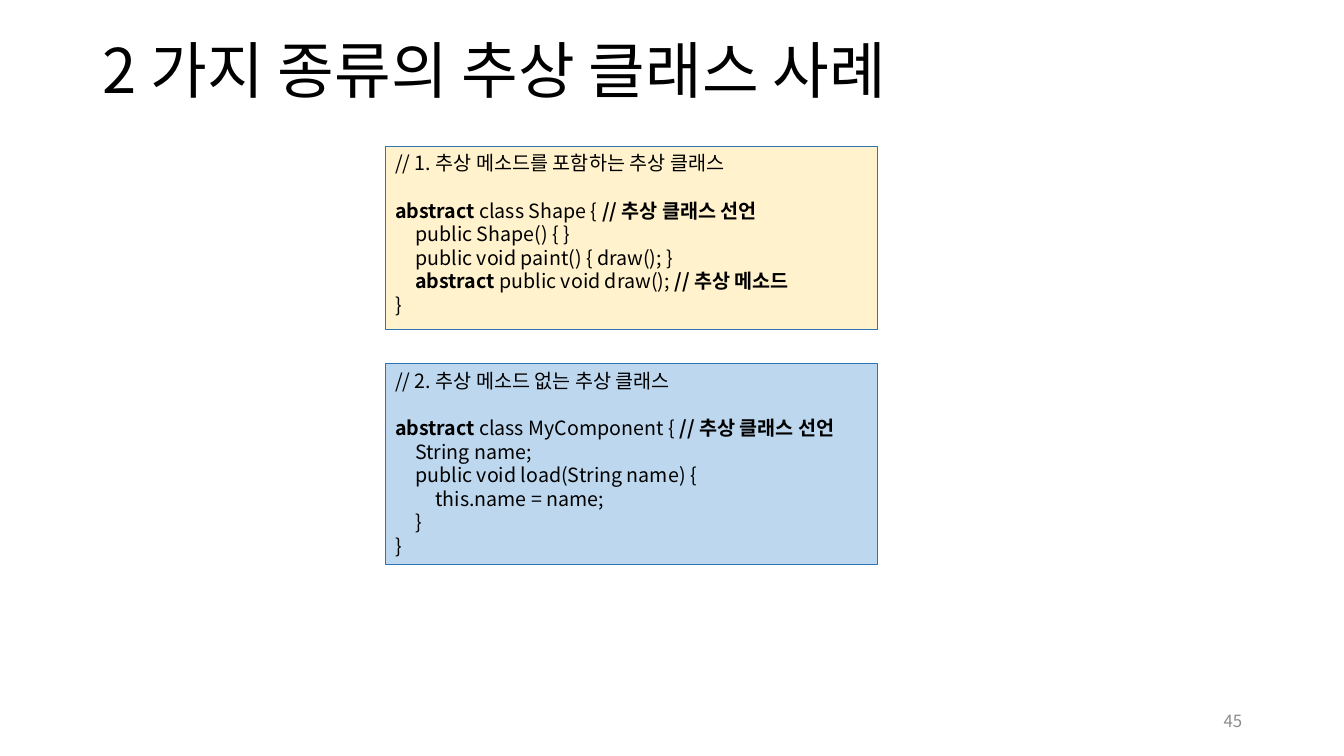
from dataclasses import dataclass

from lxml.etree import SubElement
from pptx import Presentation
from pptx.dml.color import RGBColor
from pptx.enum.shapes import MSO_SHAPE
from pptx.enum.text import MSO_ANCHOR, PP_ALIGN
from pptx.oxml.ns import qn
from pptx.util import Inches, Pt


@dataclass(frozen=True)
class Theme:
    font: str = "Noto Sans CJK KR"
    text: str = "000000"
    muted: str = "8C8C8C"
    border: str = "2E75B6"
    cream: str = "FFF2CC"
    sky: str = "BDD7EE"
    title_size: int = 44
    code_size: int = 14
    number_size: int = 12
    code_gap: int = 17
    tab: float = 0.2


THEME = Theme()

SHAPE_CODE = """// 1. 추상 메소드를 포함하는 추상 클래스

*abstract *class Shape { *// 추상 클래스 선언*
\tpublic Shape() { }
\tpublic void paint() { draw(); }
\t*abstract* public void draw(); *// 추상 메소드*
}"""

COMPONENT_CODE = """// 2. 추상 메소드 없는 추상 클래스

*abstract* class MyComponent { *// 추상 클래스 선언*
\tString name;
\tpublic void load(String name) {
\t\tthis.name = name;
\t}
}"""


def apply(obj, formats):
    """Set each attribute named in formats on obj."""
    for name, value in formats.items():
        setattr(obj, name, value)


def add_run(p, text, size, color, bold=False):
    """Append a styled run, with the font set for Latin and Korean text."""
    r = p.add_run()
    r.text = text
    apply(r.font, {"name": THEME.font, "size": Pt(size), "bold": bold})
    r.font.color.rgb = RGBColor.from_string(color)
    SubElement(r.font._element, qn("a:ea"), typeface=THEME.font)


def add_tabs(p, count=2):
    """Give a paragraph evenly spaced left tab stops."""
    tabs = SubElement(p._p.get_or_add_pPr(), qn("a:tabLst"))
    for i in range(1, count + 1):
        SubElement(tabs, qn("a:tab"), pos=str(Inches(THEME.tab * i)), algn="l")


def add_label(slide, box, text, size, color, **formats):
    """Add a one-line text box centred vertically."""
    tf = slide.shapes.add_textbox(*map(Inches, box)).text_frame
    apply(tf, {"word_wrap": True, "vertical_anchor": MSO_ANCHOR.MIDDLE})
    p = tf.paragraphs[0]
    apply(p, formats)
    add_run(p, text, size, color)


def add_code(slide, box, fill, code):
    """Add a filled code panel; asterisks enclose bold parts."""
    s = slide.shapes.add_shape(MSO_SHAPE.RECTANGLE, *map(Inches, box))
    s.shadow.inherit = False
    s.fill.solid()
    s.fill.fore_color.rgb = RGBColor.from_string(fill)
    s.line.color.rgb = RGBColor.from_string(THEME.border)
    s.line.width = Pt(0.75)
    tf = s.text_frame
    apply(tf, {"word_wrap": True, "vertical_anchor": MSO_ANCHOR.TOP})
    p = tf.paragraphs[0]
    for i, block in enumerate(code.split("\n\n")):
        for j, line in enumerate(block.split("\n")):
            if i or j:
                p = tf.add_paragraph()
            add_tabs(p)
            p.alignment = PP_ALIGN.LEFT
            if i and not j:
                p.space_before = Pt(THEME.code_gap)
            for k, part in enumerate(line.split("*")):
                if part:
                    add_run(p, part, THEME.code_size, THEME.text, k % 2 == 1)


def main():
    """Build and save the slide."""
    prs = Presentation()
    apply(prs, {"slide_width": Inches(13.33), "slide_height": Inches(7.5)})
    slide = prs.slides.add_slide(prs.slide_layouts[6])
    add_label(slide, (0.92, 0, 11.5, 1.45), "2 가지 종류의 추상 클래스 사례",
              THEME.title_size, THEME.text, line_spacing=0.9)
    add_code(slide, (3.82, 1.45, 4.88, 1.82), THEME.cream, SHAPE_CODE)
    add_code(slide, (3.82, 3.61, 4.88, 1.99), THEME.sky, COMPONENT_CODE)
    add_label(slide, (9.42, 6.95, 3, 0.4), "45",
              THEME.number_size, THEME.muted, alignment=PP_ALIGN.RIGHT)
    prs.save("out.pptx")


if __name__ == "__main__":
    main()
